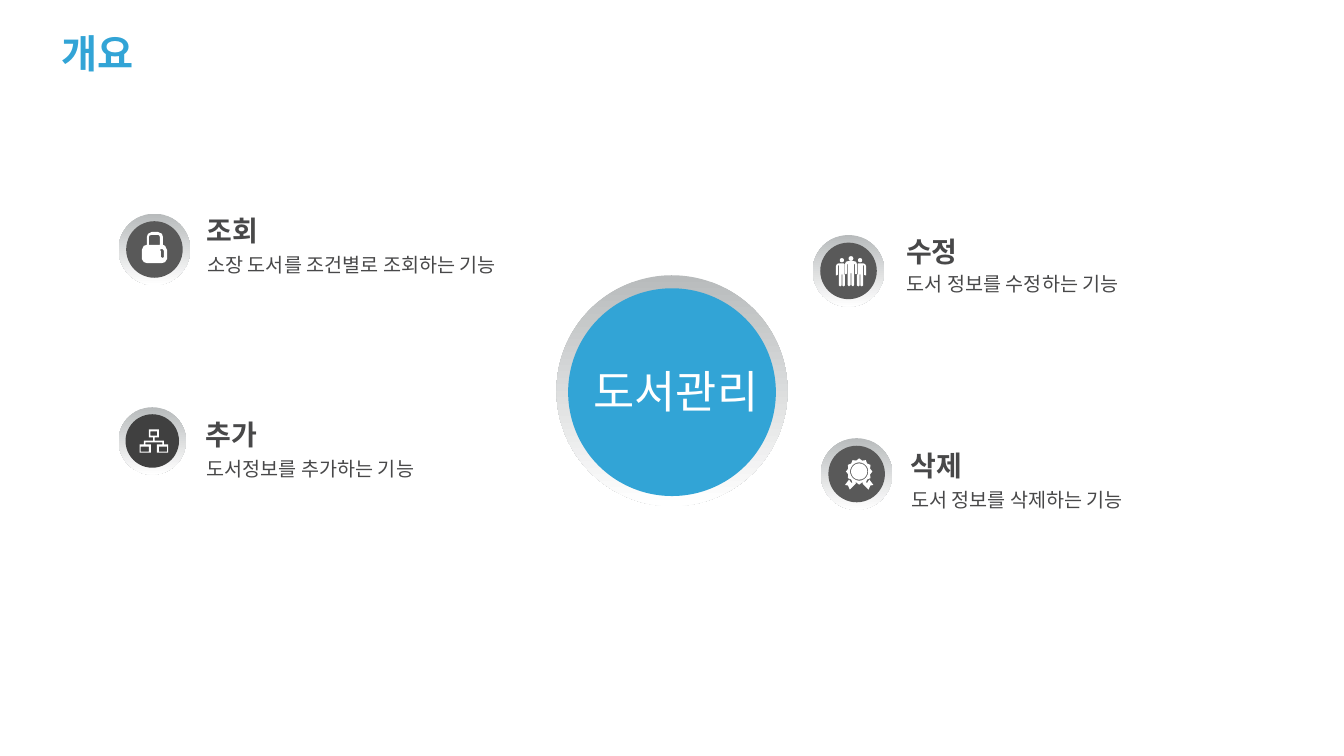
import math
from lxml import etree
from pptx import Presentation
from pptx import util as u
from pptx.dml.color import RGBColor
from pptx.enum import shapes, text
from pptx.oxml.ns import qn

FONT = "Noto Sans CJK KR"
BLUE, WHITE, INK = "32A4D6", "FFFFFF", "484849"
Pt = u.Pt

deck = Presentation()
deck.slide_width, deck.slide_height = Pt(960), Pt(540)
page = deck.slides.add_slide(deck.slide_layouts[6])


def paint(shape, *colours):
    """One colour gives a solid fill, two a gradient from top to bottom."""
    shape.shadow.inherit = False
    shape.line.fill.background()
    if len(colours) == 1:
        shape.fill.solid()
        shape.fill.fore_color.rgb = RGBColor.from_string(colours[0])
        return
    shape.fill.gradient()
    shape.fill.gradient_angle = 270
    for stop, colour in zip(shape.fill.gradient_stops, colours):
        stop.color.rgb = RGBColor.from_string(colour)


def write(words, left, top, width, height, size, colour, bold=False, wrap=True, align=None):
    box = page.shapes.add_textbox(Pt(left), Pt(top), Pt(width), Pt(height))
    box.text_frame.word_wrap = wrap
    box.text_frame.auto_size = text.MSO_AUTO_SIZE.SHAPE_TO_FIT_TEXT
    para = box.text_frame.paragraphs[0]
    para.alignment = align
    span = para.add_run()
    span.text = words
    span.font.size, span.font.bold, span.font.name = Pt(size), bold, FONT
    span.font.color.rgb = RGBColor.from_string(colour)
    etree.SubElement(span.font._element, qn("a:ea"), typeface=FONT)


# Icon outlines: tenths of a point from the corner of the ring; inner outlines are holes
lock = [
    [(317, 223), (317, 166), (309, 144), (281, 130), (238, 130), (210, 144),
     (202, 166), (202, 223), (180, 230), (166, 259), (166, 324), (180, 346),
     (202, 353), (310, 353), (332, 346), (346, 324), (346, 259), (332, 230)],
    [(295, 223), (216, 223), (216, 166), (222, 156), (238, 151), (281, 151),
     (290, 156), (295, 166)],
    [(324, 310), (317, 317), (302, 310), (302, 266), (295, 260), (302, 252),
     (317, 255), (324, 266)],
]

# Symmetric icons: one half is drawn and mirrored about its axis
AXIS = 274
middle_half = [(22, 187), (36, 191), (43, 208), (43, 276), (36, 281), (29, 276),
               (29, 208), (23, 208), (23, 357), (14, 367), (3, 357), (3, 273)]
side_person = [(22, 288), (22, 223), (29, 208), (43, 202), (79, 202), (83, 209),
               (83, 280), (87, 285), (87, 360), (77, 367), (68, 360), (68, 281),
               (63, 281), (63, 360), (53, 367), (43, 360), (43, 216), (37, 216),
               (37, 283), (29, 288)]
ribbon = [(202, 295), (216, 317), (245, 317), (250, 324), (207, 367), (194, 338), (173, 334)]
TURNS = [math.tau * step / 24 for step in range(24)]

people = [[(AXIS + x, y) for x, y in middle_half]
          + [(AXIS - x, y) for x, y in reversed(middle_half)]]
people += [[(AXIS + side * (x - 130), y) for x, y in side_person] for side in (1, -1)]
people += [[(x + r * math.cos(turn), y + r * math.sin(turn)) for turn in TURNS]
           for x, y, r in [(209, 180, 15), (AXIS, 168, 17), (339, 180, 15)]]

# Medal: scalloped edge, thin ring and two ribbon ends
medal = [[(AXIS + r * math.cos(turn), 238 + r * math.sin(turn))
          for turn, r in zip(TURNS, radii * 12)]
         for radii in [(94, 81), (65, 65), (58, 58)]]
medal += [ribbon, [(2 * AXIS - x, y) for x, y in ribbon]]

# Organisation chart: outer edge and the three box openings
tree_half = [(36, 158), (36, 216), (6, 216), (6, 238), (72, 238), (72, 266),
             (101, 266), (101, 324), (22, 324), (22, 266), (61, 266), (61, 252)]
tree = [[(252 + x, y) for x, y in tree_half]
        + [(252 - x, y) for x, y in reversed(tree_half)]]
tree += [[(l, t), (r, t), (r, b), (l, b)] for l, t, r, b in
         [(228, 173, 276, 202), (158, 281, 216, 317), (288, 281, 346, 317)]]

# Title
write("개요", 36.7, 17.3, 68.4, 41, 28, BLUE, bold=True, wrap=False)

# Rings with discs and icons: left, top, ring size, disc size, disc drop, colour, icon
rings = [
    (397.5, 196.6, 165, 148.4, 1, BLUE, []),
    (84.7, 152.6, 51.2, 40.4, 0, "595959", lock),
    (580.5, 167.9, 51.2, 40.4, 0, "595959", people),
    (586.3, 313, 51.2, 40.4, 0, "595959", medal),
    (84.7, 290.9, 48.2, 38.2, 0, "404040", tree),
]
for left, top, size, disc_size, drop, colour, icon in rings:
    ring = page.shapes.add_shape(shapes.MSO_SHAPE.ROUNDED_RECTANGLE,
                                 Pt(left), Pt(top), Pt(size), Pt(size))
    ring.adjustments[0] = 0.5
    paint(ring, "B8BBBC", WHITE)
    inset = (size - disc_size) / 2
    disc = page.shapes.add_shape(shapes.MSO_SHAPE.OVAL, Pt(left + inset),
                                 Pt(top + inset + drop), Pt(disc_size), Pt(disc_size))
    paint(disc, colour)
    if icon:
        pen = page.shapes.build_freeform(*icon[0][0], scale=Pt(0.1))
        for outline in icon:
            pen.move_to(*outline[0])
            pen.add_line_segments(outline[1:], close=True)
        paint(pen.convert_to_shape(Pt(left), Pt(top)), WHITE)

write("도서관리", 416.2, 256.3, 133.2, 46.1, 32, WHITE, align=text.PP_ALIGN.CENTER)

# Functions: heading, description, left, top, widths, gap to description
functions = [
    ("조회", "소장 도서를 조건별로 조회하는 기능", 140.6, 149, 205, 225, 28),
    ("수정", "도서 정보를 수정하는 기능", 640.2, 164, 323, 277, 27),
    ("추가", "도서정보를 추가하는 기능", 140, 294.5, 312, 245, 28),
    ("삭제", "도서 정보를 삭제하는 기능", 643.3, 316.8, 274, 258, 28),
]
for heading, detail, left, top, heading_width, detail_width, gap in functions:
    write(heading, left, top, heading_width, 31.5, 20, INK, bold=True)
    write(detail, left + 0.5, top + gap, detail_width, 24.2, 14, INK)

deck.save("out.pptx")
